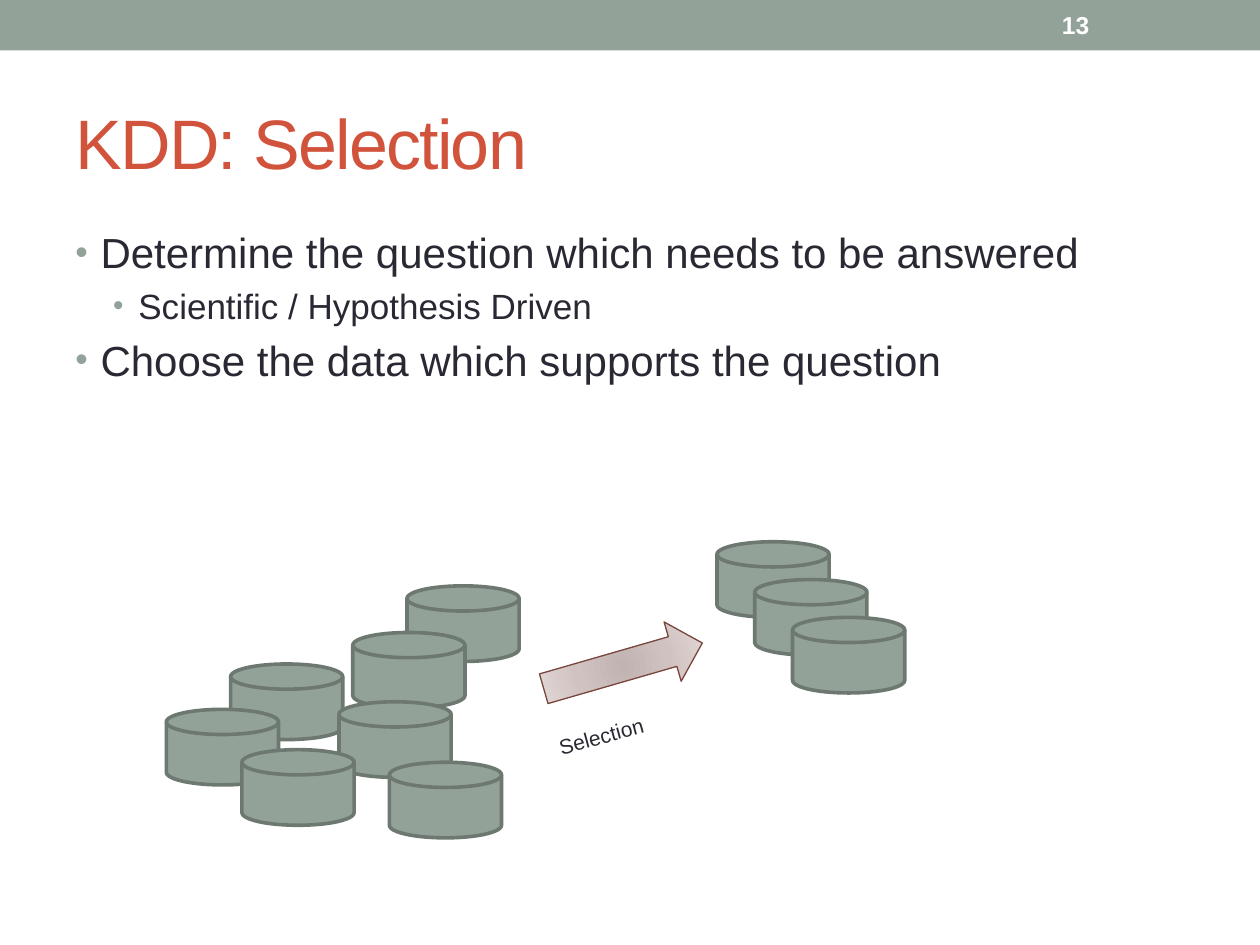
"""Builds the KDD selection slide: data stores narrowed down to the relevant ones."""
from pptx import Presentation
from pptx.dml.color import RGBColor
from pptx.enum.shapes import MSO_SHAPE
from pptx.enum.text import MSO_ANCHOR
from pptx.oxml import parse_xml
from pptx.util import Inches, Pt

BAR, DISK, ARROW = MSO_SHAPE.RECTANGLE, MSO_SHAPE.FLOWCHART_MAGNETIC_DISK, MSO_SHAPE.RIGHT_ARROW
TOP, MIDDLE = MSO_ANCHOR.TOP, MSO_ANCHOR.MIDDLE
SAGE = RGBColor(0x93, 0xA2, 0x99)
DARK_SAGE = RGBColor(0x6D, 0x78, 0x71)
BRICK = RGBColor(0xD2, 0x53, 0x3C)
BROWN = RGBColor(0x79, 0x46, 0x3D)
INK = RGBColor(0x29, 0x29, 0x34)
WHITE = RGBColor(0xFF, 0xFF, 0xFF)
ARROW_STOPS = [
    (0, RGBColor(0xC0, 0xB3, 0xB1)),
    (45, RGBColor(0xD0, 0xC2, 0xC0)),
    (100, RGBColor(0xE5, 0xDE, 0xDD)),
]
NS = 'xmlns:a="http://schemas.openxmlformats.org/drawingml/2006/main"'

prs = Presentation()
prs.slide_width, prs.slide_height = Inches(10), Inches(7.5)
COL, ROW = prs.slide_width / 100, prs.slide_height / 75
slide = prs.slides.add_slide(prs.slide_layouts[6])


def add_figure(kind, col, row, cols, rows, line=None, weight=0):
    figure = slide.shapes.add_shape(
        kind, round(col * COL), round(row * ROW), round(cols * COL), round(rows * ROW))
    figure.shadow.inherit = False
    figure.fill.solid()
    figure.fill.fore_color.rgb = SAGE
    if line is None:
        figure.line.fill.background()
    else:
        figure.line.color.rgb = line
        figure.line.width = Pt(weight)
    return figure


def add_text(col, row, cols, rows, anchor, lines, color):
    box = slide.shapes.add_textbox(
        round(col * COL), round(row * ROW), round(cols * COL), round(rows * ROW))
    frame = box.text_frame
    frame.word_wrap = True
    frame.vertical_anchor = anchor
    for index, (wording, size) in enumerate(lines):
        paragraph = frame.add_paragraph() if index else frame.paragraphs[0]
        run = paragraph.add_run()
        run.text = wording
        run.font.name = "Arial"
        run.font.size = Pt(size)
        run.font.color.rgb = color
    return box


add_figure(BAR, 0, 0, 100, 4)

title = add_text(5, 5.8, 90, 10.8, MIDDLE, [("KDD: Selection", 40)], BRICK)
title.text_frame.paragraphs[0].runs[0].font._element.set("spc", "-100")

points = add_text(5, 17.5, 90, 53.3, TOP, [
    ("Determine the question which needs to be answered", 24),
    ("Scientific / Hypothesis Driven", 20),
    ("Choose the data which supports the question", 24),
], INK)
for point, level in zip(points.text_frame.paragraphs, (0, 1, 0)):
    point.level = level
    properties = point._p.get_or_add_pPr()
    properties.set("marL", str(Inches(0.2 + 0.3 * level)))
    properties.set("indent", str(-Inches(0.2)))
    for bullet_part in (
        f'<a:spcBef {NS}><a:spcPct val="20000"/></a:spcBef>',
        f'<a:buClr {NS}><a:srgbClr val="{SAGE}"/></a:buClr>',
        f'<a:buSzPct {NS} val="85000"/>',
        f'<a:buFont {NS} typeface="Arial"/>',
        f'<a:buChar {NS} char="•"/>',
    ):
        properties.append(parse_xml(bullet_part))

page_number = add_text(83.3, 0.2, 11.7, 3.6, MIDDLE, [("13", 14)], WHITE)
page_number.text_frame.paragraphs[0].runs[0].font.bold = True

all_data = [(32.3, 46.5), (28, 50.2), (18.3, 52.7), (26.9, 55.7),
            (13.2, 56.3), (19.2, 59.5), (30.9, 60.5)]
selected_data = [(56.9 + 3 * step, 43 + 3 * step) for step in range(3)]
for col, row in all_data + selected_data:
    add_figure(DISK, col, row, 8.9, 6, DARK_SAGE, 2.08)

selection_arrow = add_figure(ARROW, 42.9, 50.4, 13.1, 4.9, BROWN, 0.75)
selection_arrow.rotation = -16.1
stops = "".join(
    f'<a:gs pos="{share * 1000}"><a:srgbClr val="{color}"/></a:gs>' for share, color in ARROW_STOPS)
radial_fill = parse_xml(
    f'<a:gradFill {NS} rotWithShape="1"><a:gsLst>{stops}</a:gsLst><a:path path="circle">'
    '<a:fillToRect l="50000" t="50000" r="50000" b="50000"/></a:path></a:gradFill>')
arrow_properties = selection_arrow._element.spPr
arrow_properties.replace(arrow_properties.solidFill, radial_fill)

selection_label = add_text(43.5, 55.9, 16.2, 5.5, TOP, [("Selection", 12)], INK)
selection_label.rotation = -15.2

prs.save("out.pptx")
